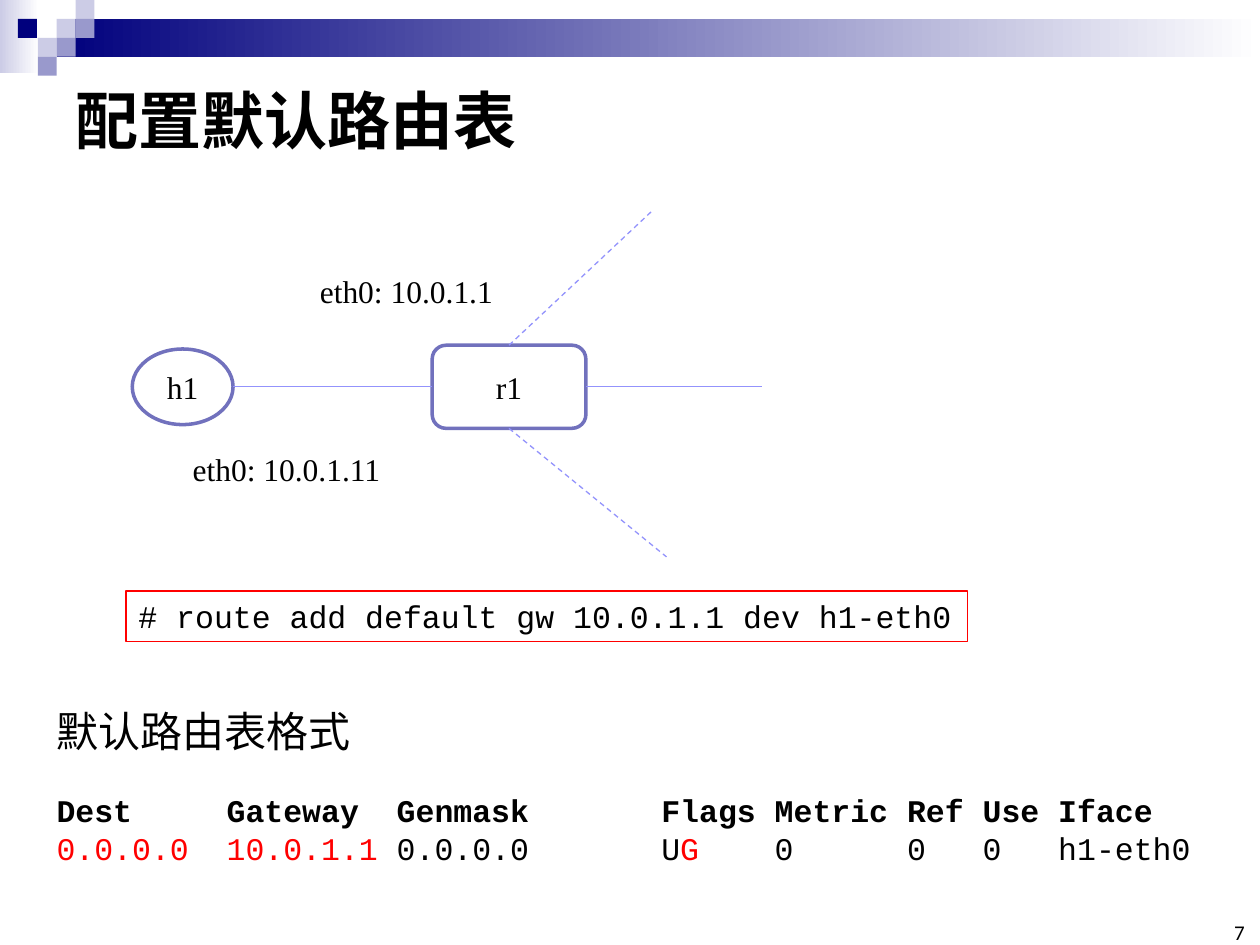
from lxml.etree import SubElement
from pptx import Presentation
from pptx.dml.color import RGBColor
from pptx.enum.dml import MSO_LINE
from pptx.enum.shapes import MSO_CONNECTOR, MSO_SHAPE
from pptx.enum.text import MSO_ANCHOR, PP_ALIGN
from pptx.oxml.ns import qn
from pptx.util import Inches, Pt

BLACK = RGBColor(0x00, 0x00, 0x00)
WHITE = RGBColor(0xFF, 0xFF, 0xFF)
RED = RGBColor(0xFF, 0x00, 0x00)
NAVY = RGBColor(0x00, 0x00, 0x7D)
LAVENDER = RGBColor(0xCC, 0xCC, 0xE6)
VIOLET = RGBColor(0x99, 0x99, 0xCC)
NODE_EDGE = RGBColor(0x71, 0x71, 0xBD)
LINK = RGBColor(0x93, 0x93, 0xFC)
SANS, CJK, SERIF, MONO = "Calibri", "Noto Sans CJK SC", "Times New Roman", "Courier New"

TITLE = "配置默认路由表"
PAGE = "7"
COMMAND = "# route add default gw 10.0.1.1 dev h1-eth0"
TABLE_TITLE = "默认路由表格式"
HEADER = ["Dest", "Gateway", "Genmask", "Flags", "Metric", "Ref", "Use", "Iface"]
# Each cell is a list of (text, colour) pieces
ROUTE = [[("0.0.0.0", RED)], [("10.0.1.1", RED)], [("0.0.0.0", BLACK)],
         [("U", BLACK), ("G", RED)], [("0", BLACK)], [("0", BLACK)],
         [("0", BLACK)], [("h1-eth0", BLACK)]]
COLUMN_CHARS = [9, 18, 32, 38, 45, 49, 53]
CHAR_WIDTH = 0.15

BANDS = [((0, 0, 0.31, 0.58), LAVENDER), ((0.45, 0.15, 9.55, 0.3), NAVY)]
TILE = 0.15
# (column, row, colour) on the tile grid
TILES = [(3, 1, LAVENDER), (4, 0, LAVENDER), (4, 1, VIOLET), (2, 2, LAVENDER),
         (0.95, 1, NAVY), (3, 2, VIOLET), (2, 3, VIOLET)]

AXIS = 3.07
ADDRESSES = [("eth0: 10.0.1.11", (1.43, 3.52, 1.71, 0.4)),
             ("eth0: 10.0.1.1", (2.44, 2.11, 1.64, 0.4))]
# (connection site on the router, far end, dashed)
LINKS = [(1, (1.85, AXIS), False), (0, (5.18, 1.67), True),
         (3, (6.05, AXIS), False), (2, (5.29, 4.42), True)]

deck = Presentation()
deck.slide_width, deck.slide_height = Inches(10), Inches(7.5)
slide = deck.slides.add_slide(deck.slide_layouts[6])


def style(paragraph, size, face, bold=False, color=BLACK):
    """Set the font of a whole paragraph."""
    font = paragraph.font
    font.size, font.name, font.bold = Pt(size), face, bold
    font.color.rgb = color


def add_block(box, kind=MSO_SHAPE.RECTANGLE, fill=None, edge=None, weight=0.75):
    """Add a shape without shadow, filled and outlined as asked."""
    block = slide.shapes.add_shape(kind, *map(Inches, box))
    block.shadow.inherit = False
    if fill is None:
        block.fill.background()
    else:
        block.fill.solid()
        block.fill.fore_color.rgb = fill
    if edge is None:
        block.line.fill.background()
    else:
        block.line.color.rgb = edge
        block.line.width = Pt(weight)
    return block


def write(holder, text, size, face, bold=False, wrap=False,
          align=PP_ALIGN.LEFT, anchor=MSO_ANCHOR.TOP):
    """Write one styled paragraph into a shape or text box."""
    frame = holder.text_frame
    frame.word_wrap, frame.vertical_anchor = wrap, anchor
    frame.text = text
    frame.paragraphs[0].alignment = align
    style(frame.paragraphs[0], size, face, bold)
    return frame


def add_text(box, *content, **options):
    """Add a text box holding one styled paragraph."""
    return write(slide.shapes.add_textbox(*map(Inches, box)), *content, **options)


def add_node(name, kind, left, width, height):
    """Add a network node centred on the axis."""
    node = add_block((left, AXIS - height / 2, width, height), kind, WHITE, NODE_EDGE, 2)
    write(node, name, 18, SERIF, wrap=True, align=PP_ALIGN.CENTER, anchor=MSO_ANCHOR.MIDDLE)
    return node


def add_link(node, site, end, dashed):
    """Draw a link from a connection site of a node to a point."""
    link = slide.shapes.add_connector(MSO_CONNECTOR.STRAIGHT, 0, 0, *map(Inches, end))
    link.begin_connect(node, site)
    link.line.color.rgb = LINK
    link.line.width = Pt(0.75)
    if dashed:
        link.line.dash_style = MSO_LINE.DASH
    SubElement(link.element.spPr, qn("a:effectLst"))


def add_row(frame, cells, bold=False):
    """Add a table line whose cells stand at tab stops."""
    row = frame.add_paragraph()
    for index, pieces in enumerate(cells):
        for part, (text, color) in enumerate(pieces):
            run = row.add_run()
            run.text = "\t" + text if index and not part else text
            run.font.color.rgb = color
    stops = SubElement(row._p.get_or_add_pPr(), qn("a:tabLst"))
    for chars in COLUMN_CHARS:
        SubElement(stops, qn("a:tab"), pos=str(Inches(chars * CHAR_WIDTH)), algn="l")
    style(row, 18, MONO, bold)
    return row


for box, color in BANDS:
    band = add_block(box, fill=color)
    band.fill.gradient()
    band.fill.gradient_angle = 0
    for stop, shade in zip(band.fill.gradient_stops, (color, WHITE)):
        stop.color.rgb = shade
for column, row, color in TILES:
    add_block((column * TILE, row * TILE, TILE, TILE), fill=color)

add_text((0.5, 0.5, 9, 0.89), TITLE, 36, SANS, bold=True, wrap=True,
         anchor=MSO_ANCHOR.MIDDLE)
page = add_text((9.65, 7.33, 0.23, 0.17), PAGE, 12, SANS, wrap=True,
                align=PP_ALIGN.RIGHT, anchor=MSO_ANCHOR.BOTTOM)
page.margin_left = page.margin_right = page.margin_top = page.margin_bottom = 0

routes = add_text((0.35, 5.55, 9.31, 1.41), TABLE_TITLE, 24, CJK, wrap=True)
header = add_row(routes, [[(name, BLACK)] for name in HEADER], bold=True)
header.space_before = Pt(20)
add_row(routes, ROUTE)

router = add_node("r1", MSO_SHAPE.ROUNDED_RECTANGLE, 3.43, 1.22, 0.66)
add_node("h1", MSO_SHAPE.OVAL, 1.05, 0.8, 0.6)
for site, end, dashed in LINKS:
    add_link(router, site, end, dashed)
for address, box in ADDRESSES:
    add_text(box, address, 18, SERIF)

write(add_block((1, 4.69, 6.68, 0.4), edge=RED), COMMAND, 18, MONO)

deck.save("out.pptx")
